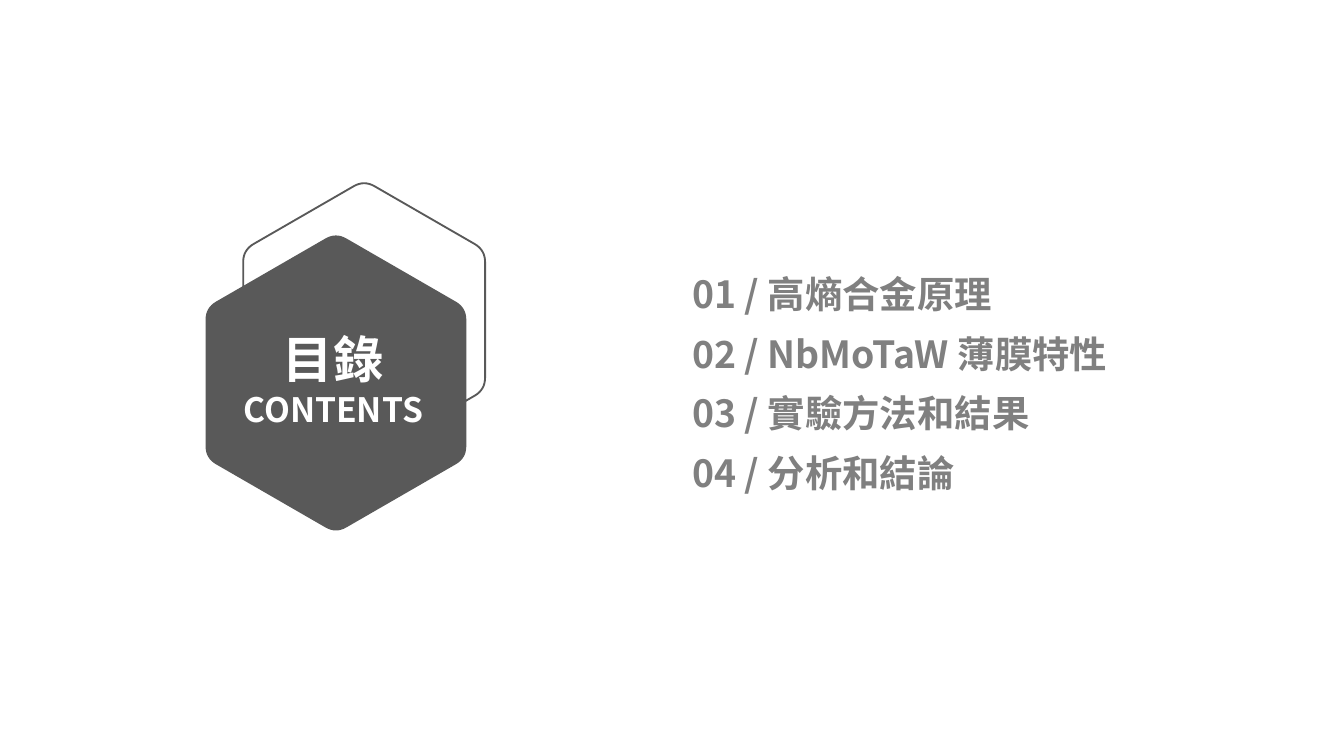
from math import cos, radians, sin, sqrt

from pptx import Presentation
from pptx.dml.color import RGBColor
from pptx.enum import text
from pptx.oxml.ns import qn
from pptx.util import Inches, Pt

FONT = "Noto Sans CJK SC"
COLORS = {"dark": "595959", "entry": "808080", "title": "FFFFFF"}
TITLE = [("目錄", 27), ("CONTENTS", 18)]
ENTRIES = [
    ("01 / 高熵合金原理", 3.58),
    ("02 / NbMoTaW 薄膜特性", 3.46),
    ("03 / 實驗方法和結果", 3.27),
    ("04 / 分析和結論", 3.12),
]
ENTRY_LEFT, ENTRY_TOP, ENTRY_STEP, ENTRY_HEIGHT = 5.08, 1.98, 0.443, 0.41
CORNER_CUT, CORNER_STEPS = 0.09, 8
FRAME = {
    "margin_left": Inches(0.07), "margin_right": Inches(0.07),
    "margin_top": Inches(0.04), "margin_bottom": Inches(0.04),
    "word_wrap": True, "auto_size": text.MSO_AUTO_SIZE.SHAPE_TO_FIT_TEXT,
}


def rgb(name):
    return RGBColor.from_string(COLORS[name])


def hexagon_outline(center_x, center_y, width):
    radius = width / sqrt(3)
    vertices = [(center_x + radius * cos(radians(a)), center_y + radius * sin(radians(a)))
                for a in range(-90, 270, 60)]
    ratio = CORNER_CUT / radius
    outline = []
    for i, (x, y) in enumerate(vertices):
        before, after = vertices[i - 1], vertices[(i + 1) % 6]
        for step in range(CORNER_STEPS + 1):
            t = step / CORNER_STEPS
            back, ahead = ratio * (1 - t) ** 2, ratio * t ** 2
            outline.append((
                Inches(x + back * (before[0] - x) + ahead * (after[0] - x)),
                Inches(y + back * (before[1] - y) + ahead * (after[1] - y)),
            ))
    return outline


def add_hexagon(slide, center_x, center_y, width):
    start, *rest = hexagon_outline(center_x, center_y, width)
    builder = slide.shapes.build_freeform(*start)
    builder.add_line_segments(rest, close=True)
    hexagon = builder.convert_to_shape()
    hexagon.shadow.inherit = False
    return hexagon


def add_text(slide, box, lines, color, align):
    frame = slide.shapes.add_textbox(*map(Inches, box)).text_frame
    for key, value in FRAME.items():
        setattr(frame, key, value)
    for i, (words, size) in enumerate(lines):
        paragraph = frame.add_paragraph() if i else frame.paragraphs[0]
        paragraph.alignment = align
        run = paragraph.add_run()
        run.text = words
        for key, value in {"name": FONT, "size": Pt(size), "bold": True}.items():
            setattr(run.font, key, value)
        run.font.color.rgb = rgb(color)
        east_asian = run._r.get_or_add_rPr().makeelement(qn("a:ea"), {"typeface": FONT})
        run._r.rPr.append(east_asian)


def main():
    deck = Presentation()
    deck.slide_width, deck.slide_height = Inches(10), Inches(5.625)
    slide = deck.slides.add_slide(deck.slide_layouts[6])

    outline = add_hexagon(slide, 2.71, 2.38, 1.8)
    outline.fill.background()
    outline.line.color.rgb = rgb("dark")
    outline.line.width = Pt(1)

    for row, (entry, width) in enumerate(ENTRIES):
        box = (ENTRY_LEFT, ENTRY_TOP + row * ENTRY_STEP, width, ENTRY_HEIGHT)
        add_text(slide, box, [(entry, 20)], "entry", text.PP_ALIGN.LEFT)

    badge = add_hexagon(slide, 2.5, 2.85, 1.94)
    badge.fill.solid()
    badge.fill.fore_color.rgb = rgb("dark")
    badge.line.fill.background()
    add_text(slide, (1.57, 2.4, 1.82, 0.83), TITLE, "title", text.PP_ALIGN.CENTER)

    deck.save("out.pptx")


if __name__ == "__main__":
    main()
